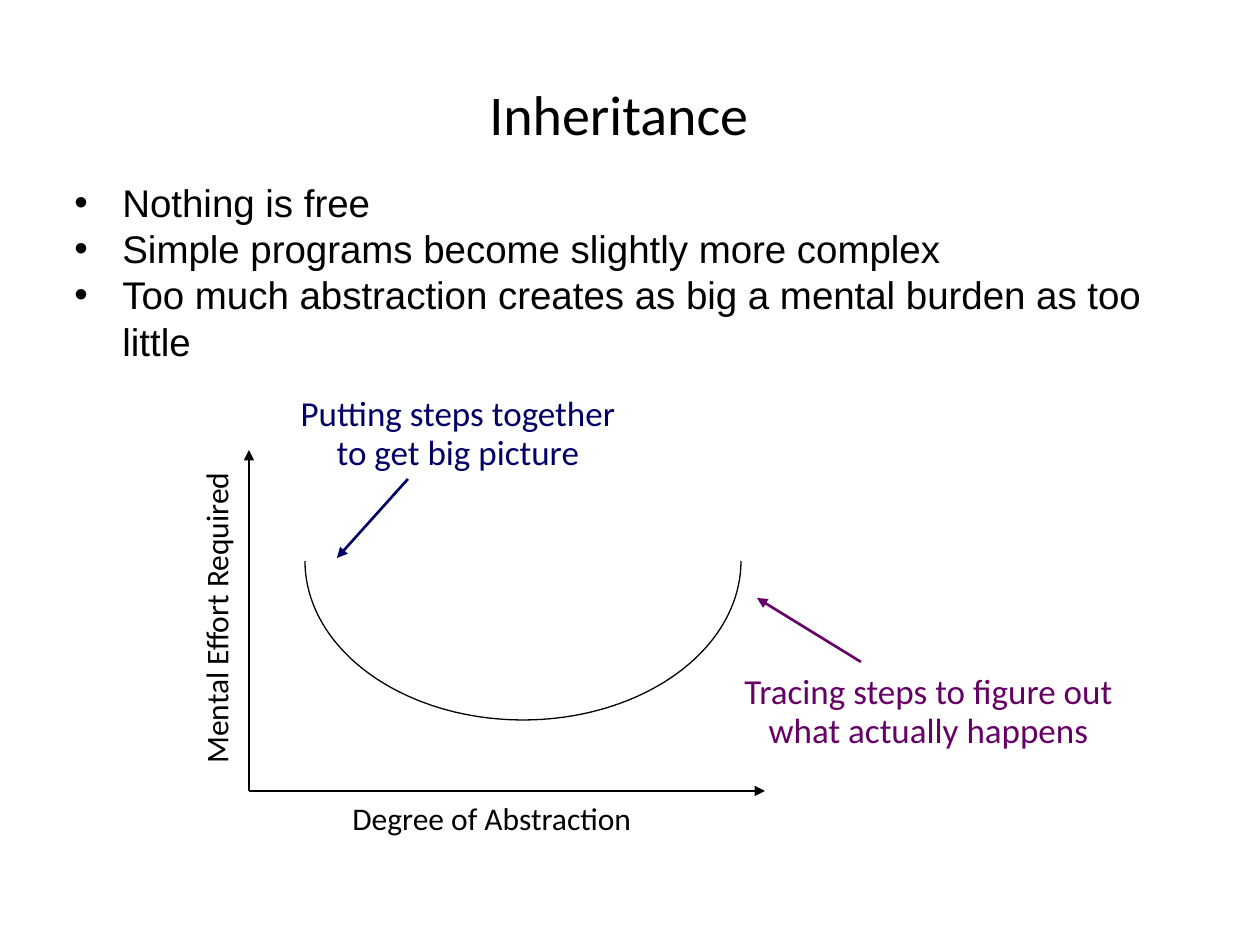
import math

import pptx
import pptx.dml.color
import pptx.enum.shapes
import pptx.enum.text
import pptx.oxml.ns
import pptx.util
from lxml import etree

PX = 914400 // 126
BLACK = pptx.dml.color.RGBColor(0x00, 0x00, 0x00)
NAVY = pptx.dml.color.RGBColor(0x00, 0x00, 0x66)
PURPLE = pptx.dml.color.RGBColor(0x66, 0x00, 0x66)
ALIGN = pptx.enum.text.PP_ALIGN
AUTO_SIZE = pptx.enum.text.MSO_AUTO_SIZE
qn = pptx.oxml.ns.qn

deck = pptx.Presentation()
deck.slide_width = pptx.util.Inches(10)
deck.slide_height = pptx.util.Inches(7.5)
slide = deck.slides.add_slide(deck.slide_layouts[6])


def add_text(box, lines, size, color=BLACK, font="Calibri", align=ALIGN.LEFT,
             spacing=0.93, wrap=False):
    """Add a text box at a pixel box, one paragraph per line."""
    label = slide.shapes.add_textbox(*(v * PX for v in box))
    frame = label.text_frame
    frame.word_wrap = wrap
    frame.auto_size = AUTO_SIZE.SHAPE_TO_FIT_TEXT
    for i, line in enumerate(lines):
        paragraph = frame.add_paragraph() if i else frame.paragraphs[0]
        paragraph.alignment = align
        paragraph.line_spacing = spacing
        run = paragraph.add_run()
        run.text = line
        run.font.size = pptx.util.Pt(size)
        run.font.name = font
        run.font.color.rgb = color
    return label


def add_arrow(start, end, color, width):
    """Draw a straight arrow between two pixel points."""
    arrow = slide.shapes.add_connector(
        pptx.enum.shapes.MSO_CONNECTOR.STRAIGHT, *(v * PX for v in start + end))
    arrow.line.color.rgb = color
    arrow.line.width = pptx.util.Pt(width)
    etree.SubElement(arrow.line._get_or_add_ln(), qn("a:tailEnd"), type="triangle")
    etree.SubElement(arrow._element.spPr, qn("a:effectLst"))


title = add_text((52, 38, 1134, 158), ["Inheritance"], 32,
                 align=ALIGN.CENTER, spacing=0.9, wrap=True)
title.text_frame.auto_size = AUTO_SIZE.NONE
title.text_frame.vertical_anchor = pptx.enum.text.MSO_ANCHOR.MIDDLE

points = add_text((62, 173, 1150, 199), [
    "Nothing is free",
    "Simple programs become slightly more complex",
    "Too much abstraction creates as big a mental burden as too little",
], 22, font="Arial", spacing=1.0, wrap=True)
for point in points.text_frame.paragraphs:
    properties = point._p.get_or_add_pPr()
    properties.set("marL", str(48 * PX))
    properties.set("indent", str(-48 * PX))
    etree.SubElement(properties, qn("a:buFont"), typeface="Arial")
    etree.SubElement(properties, qn("a:buChar"), char="\u2022")

# Axes and their titles
origin = (249, 791)
for axis_end in ((765, 791), (249, 450)):
    add_arrow(origin, axis_end, BLACK, 0.75)
add_text((340, 796, 307, 48), ["Degree of Abstraction"], 18)
effort = add_text((54, 588, 328, 48), ["Mental Effort Required "], 18)
effort.rotation = 270

# Effort curve: two quarter ellipses that meet at the lowest point
center_x, center_y, radius_x, radius_y = 523, 561, 218, 159
STEPS = 40
for side in (1, -1):
    curve = []
    for step in range(STEPS + 1):
        angle = math.pi / 2 * step / STEPS
        curve.append((round((center_x + side * radius_x * math.sin(angle)) * PX),
                      round((center_y + radius_y * math.cos(angle)) * PX)))
    builder = slide.shapes.build_freeform(*curve[0])
    builder.add_line_segments(curve[1:], close=False)
    quarter = builder.convert_to_shape()
    quarter.fill.background()
    quarter.line.color.rgb = BLACK
    quarter.line.width = pptx.util.Pt(0.75)
    quarter.shadow.inherit = False

# Remarks on both ends of the curve
remarks = [
    ((286, 389, 344, 92), ["Putting steps together", "to get big picture"],
     NAVY, (408, 479), (337, 558)),
    ((730, 667, 397, 92), ["Tracing steps to figure out", "what actually happens"],
     PURPLE, (861, 662), (757, 598)),
]
for box, lines, color, start, end in remarks:
    add_text(box, lines, 20, color, align=ALIGN.CENTER)
    add_arrow(start, end, color, 1.5)

deck.save("out.pptx")
